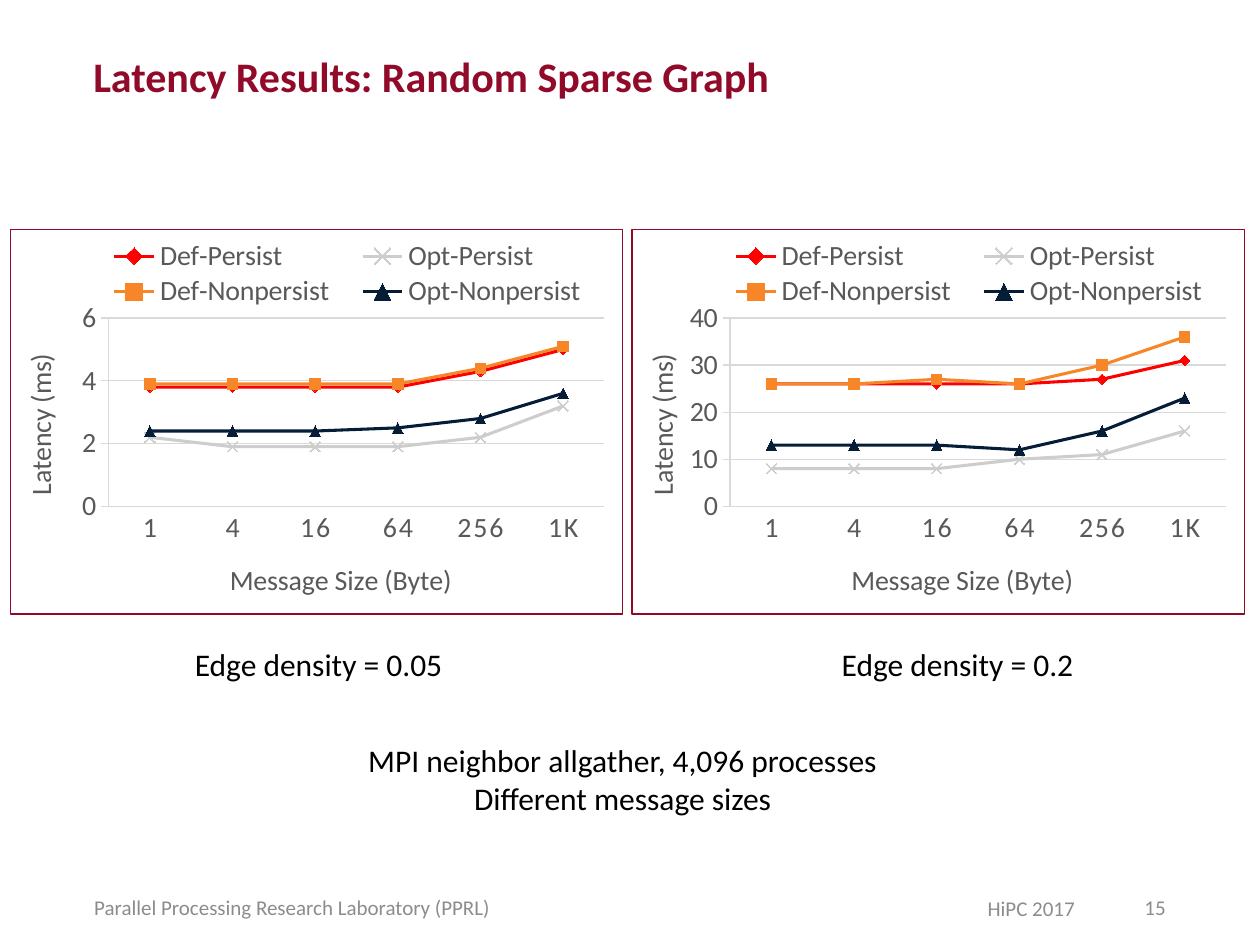
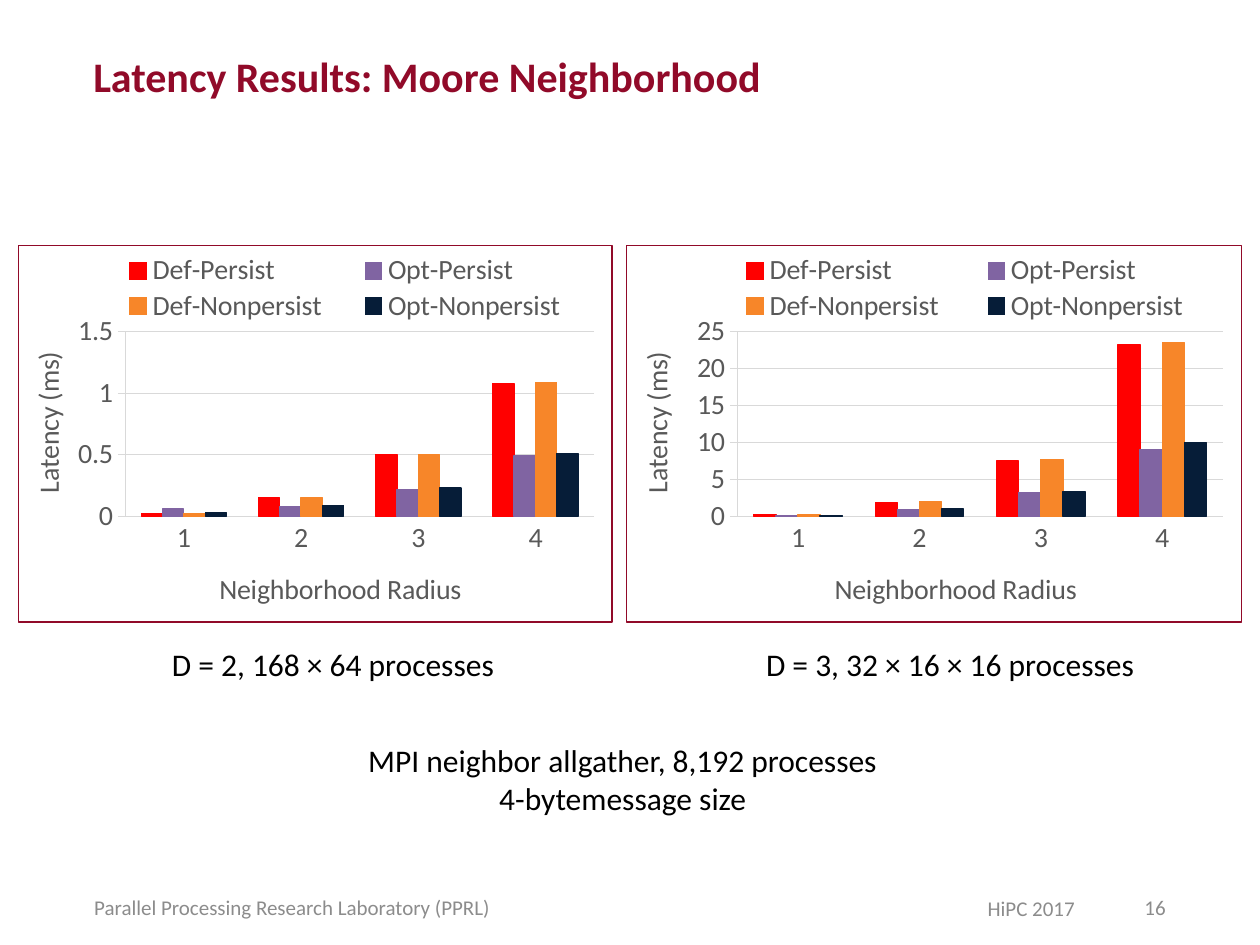
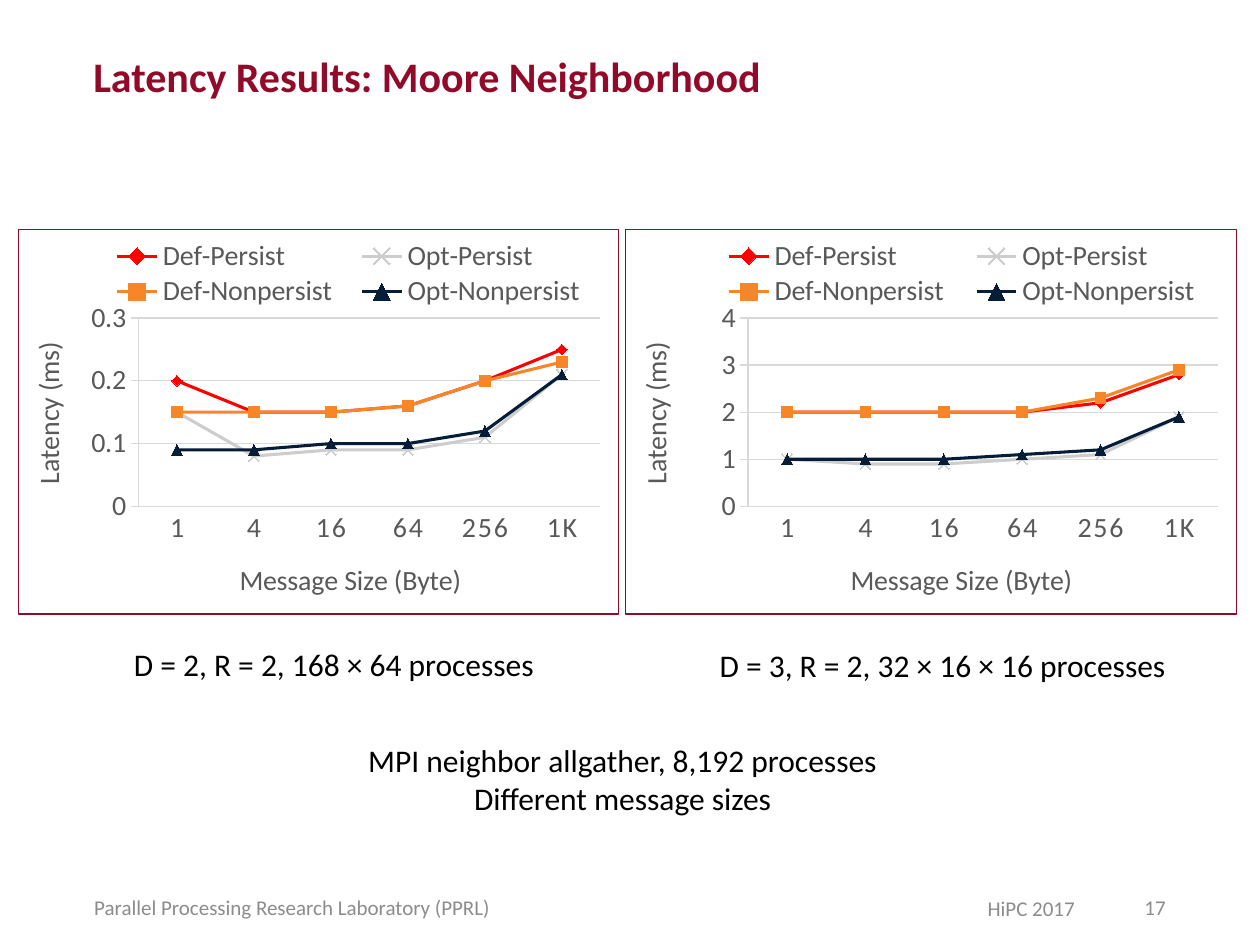
from lxml.etree import SubElement
from pptx import Presentation
from pptx.chart.data import CategoryChartData
from pptx.dml.color import RGBColor
from pptx.enum.chart import XL_CHART_TYPE, XL_LEGEND_POSITION, XL_MARKER_STYLE, XL_TICK_MARK
from pptx.enum.text import MSO_ANCHOR, PP_ALIGN
from pptx.oxml import parse_xml
from pptx.oxml.ns import nsdecls, qn
from pptx.util import Cm, Pt

# Shared look
FONT = "Calibri"
MAROON, FOOTER_GRAY, BLACK = "910A29", "8C8C8C", "000000"
CHART_TEXT, GRID = "595959", "D9D9D9"
rgb = RGBColor.from_string

SERIES = ["Def-Persist", "Opt-Persist", "Def-Nonpersist", "Opt-Nonpersist"]
LINE_COLORS = ["FF0000", "CDCDCD", "F78629", "061D38"]
BAR_COLORS = ["FF0000", "8064A2", "F78629", "061D38"]
MARKERS = [XL_MARKER_STYLE.DIAMOND, XL_MARKER_STYLE.X,
           XL_MARKER_STYLE.SQUARE, XL_MARKER_STYLE.TRIANGLE]
BYTES = ["1", "4", "16", "64", "256", "1K"]
RADII = ["1", "2", "3", "4"]
LEGEND_BOX = (0.13, 0.02, 0.84, 0.19)


def add_text(slide, text, box, size, color, align=PP_ALIGN.LEFT, inset=True):
    frame = slide.shapes.add_textbox(*[Cm(length) for length in box]).text_frame
    frame.word_wrap = True
    if not inset:
        frame.margin_left = frame.margin_top = frame.margin_right = frame.margin_bottom = 0
    frame.text = text
    for paragraph in frame.paragraphs:
        paragraph.alignment = align
        paragraph.font.name = FONT
        paragraph.font.size = Pt(size)
        paragraph.font.color.rgb = rgb(color)


def set_layout(part, x, y, w=None, h=None, inner=False):
    """Place a chart part by fractions of the chart area."""
    for old in part.findall(qn("c:layout")):
        part.remove(old)
    layout = parse_xml(f"<c:layout {nsdecls('c')}/>")
    manual = SubElement(layout, qn("c:manualLayout"))
    settings = [("layoutTarget", "inner" if inner else None), ("xMode", "edge"),
                ("yMode", "edge"), ("x", x), ("y", y), ("w", w), ("h", h)]
    for tag, value in settings:
        if value is not None:
            SubElement(manual, qn(f"c:{tag}")).set("val", str(value))
    overlay = part.find(qn("c:overlay"))
    if overlay is None:
        part.insert(0, layout)
    else:
        overlay.addprevious(layout)


# Content: each panel has a box, axis maximum and step, values, caption and caption box
SLIDES = [
    {"title": "Latency Results: Random Sparse Graph", "kind": "line", "plot": (0.16, 0.81),
     "axis_titles": ((0.35, 0.85), (0.01, 0.31)),
     "note": "MPI neighbor allgather, 4,096 processes\nDifferent message sizes",
     "panels": [
         ((0.2, 4.62, 12.37, 7.77), 6, 2,
          [(3.8, 3.8, 3.8, 3.8, 4.3, 5), (2.2, 1.9, 1.9, 1.9, 2.2, 3.2),
           (3.9, 3.9, 3.9, 3.9, 4.4, 5.1), (2.4, 2.4, 2.4, 2.5, 2.8, 3.6)],
          "Edge density = 0.05", (3.07, 12.88, 6.71, 1.02)),
         ((12.73, 4.62, 12.37, 7.77), 40, 10,
          [(26, 26, 26, 26, 27, 31), (8, 8, 8, 10, 11, 16),
           (26, 26, 27, 26, 30, 36), (13, 13, 13, 12, 16, 23)],
          "Edge density = 0.2", (15.95, 12.88, 6.71, 1.02))]},
    {"title": "Latency Results: Moore Neighborhood", "kind": "bar", "plot": (0.18, 0.79),
     "axis_titles": ((0.33, 0.85), (0.01, 0.27)),
     "note": "MPI neighbor allgather, 8,192 processes\n4-bytemessage size",
     "panels": [
         ((0.36, 4.93, 11.99, 7.62), 1.5, 0.5,
          [(0.02, 0.15, 0.5, 1.08), (0.06, 0.08, 0.22, 0.49),
           (0.02, 0.15, 0.5, 1.09), (0.03, 0.09, 0.23, 0.51)],
          "D = 2, 168 × 64 processes", (3.07, 12.88, 7.29, 1.02)),
         ((12.62, 4.93, 12.42, 7.62), 25, 5,
          [(0.2, 1.9, 7.5, 23.3), (0.1, 0.9, 3.2, 9),
           (0.2, 2, 7.7, 23.5), (0.1, 1, 3.4, 10)],
          "D = 3, 32 × 16 × 16 processes", (15.14, 12.88, 8.03, 1.02))]},
    {"title": "Latency Results: Moore Neighborhood", "kind": "line", "plot": (0.2, 0.77),
     "axis_titles": ((0.36, 0.85), (0.01, 0.28)),
     "note": "MPI neighbor allgather, 8,192 processes\nDifferent message sizes",
     "panels": [
         ((0.36, 4.62, 12.12, 7.77), 0.3, 0.1,
          [(0.2, 0.15, 0.15, 0.16, 0.2, 0.25), (0.15, 0.08, 0.09, 0.09, 0.11, 0.21),
           (0.15, 0.15, 0.15, 0.16, 0.2, 0.23), (0.09, 0.09, 0.1, 0.1, 0.12, 0.21)],
          "D = 2, R = 2, 168 × 64 processes", (2.29, 12.88, 8.89, 1.02)),
         ((12.6, 4.62, 12.34, 7.77), 4, 1,
          [(2, 2, 2, 2, 2.2, 2.8), (1, 0.9, 0.9, 1, 1.1, 1.9),
           (2, 2, 2, 2, 2.3, 2.9), (1, 1, 1, 1.1, 1.2, 1.9)],
          "D = 3, R = 2, 32 × 16 × 16 processes", (14, 12.9, 10.01, 1.02))]},
]

prs = Presentation()
prs.slide_width, prs.slide_height = Cm(25.4), Cm(19.05)

for number, content in enumerate(SLIDES, start=15):
    slide = prs.slides.add_slide(prs.slide_layouts[5])
    is_line = content["kind"] == "line"

    # Title
    title = slide.shapes.title
    title.left, title.top, title.width, title.height = Cm(1.88), Cm(0.84), Cm(17.02), Cm(1.42)
    heading = title.text_frame
    heading.text = content["title"]
    heading.vertical_anchor = MSO_ANCHOR.MIDDLE
    heading.margin_left = heading.margin_bottom = 0
    heading.margin_top, heading.margin_right = Cm(0.13), Cm(0.25)
    heading.paragraphs[0].alignment = PP_ALIGN.LEFT
    heading.paragraphs[0].line_spacing = Pt(24)
    title_font = heading.paragraphs[0].runs[0].font
    title_font.name, title_font.size, title_font.bold = FONT, Pt(24), True
    title_font.color.rgb = rgb(MAROON)

    # Footer
    add_text(slide, "HiPC 2017", (19.66, 17.93, 4.04, 0.76), 12, FOOTER_GRAY)
    add_text(slide, "Parallel Processing Research Laboratory (PPRL)",
             (1.9, 18.03, 8.81, 1.02), 12, FOOTER_GRAY, inset=False)
    add_text(slide, str(number), (21.82, 18.03, 1.68, 1.02), 12, FOOTER_GRAY,
             PP_ALIGN.RIGHT, inset=False)

    # Experiment setup
    add_text(slide, content["note"], (4.01, 14.81, 17.09, 2.57), 18, BLACK, PP_ALIGN.CENTER)

    for box, maximum, step, values, caption, caption_box in content["panels"]:
        add_text(slide, caption, caption_box, 18, BLACK, PP_ALIGN.CENTER)

        # Latency chart
        latencies = CategoryChartData()
        latencies.categories = BYTES if is_line else RADII
        for name, series_values in zip(SERIES, values):
            latencies.add_series(name, series_values)
        chart_type = XL_CHART_TYPE.LINE_MARKERS if is_line else XL_CHART_TYPE.COLUMN_CLUSTERED
        chart = slide.shapes.add_chart(
            chart_type, *[Cm(length) for length in box], latencies).chart
        chart.has_title = False
        chart.font.name, chart.font.size = FONT, Pt(16)
        chart.font.color.rgb = rgb(CHART_TEXT)
        plot = chart.plots[0]
        plot.vary_by_categories = False

        # Frame and plot area
        chart_part = chart._chartSpace.find(qn("c:chart"))
        chart_part.addnext(parse_xml(
            f'<c:spPr {nsdecls("c", "a")}><a:noFill/><a:ln w="9525"><a:solidFill>'
            f'<a:srgbClr val="{MAROON}"/></a:solidFill></a:ln></c:spPr>'))
        plot_x, plot_width = content["plot"]
        set_layout(chart_part.find(qn("c:plotArea")), plot_x, 0.23, plot_width, 0.49, inner=True)

        # Legend
        chart.has_legend = True
        chart.legend.position = XL_LEGEND_POSITION.TOP
        chart.legend.include_in_layout = False
        chart.legend.font.name, chart.legend.font.size = FONT, Pt(16)
        chart.legend.font.color.rgb = rgb(CHART_TEXT)
        set_layout(chart.legend._element, *LEGEND_BOX)

        # Axes
        size_or_radius, latency = chart.category_axis, chart.value_axis
        latency.minimum_scale, latency.maximum_scale, latency.major_unit = 0, maximum, step
        latency.major_gridlines.format.line.color.rgb = rgb(GRID)
        latency.major_gridlines.format.line.width = Pt(0.75)
        category_title = "Message Size (Byte)" if is_line else "Neighborhood Radius"
        axes = zip((size_or_radius, latency), (category_title, "Latency (ms)"),
                   (XL_TICK_MARK.NONE, XL_TICK_MARK.OUTSIDE), content["axis_titles"])
        for axis, axis_title, tick, place in axes:
            axis.major_tick_mark, axis.minor_tick_mark = tick, XL_TICK_MARK.NONE
            axis.format.line.color.rgb = rgb(GRID)
            axis.format.line.width = Pt(0.75)
            axis.tick_labels.font.name, axis.tick_labels.font.size = FONT, Pt(16)
            axis.tick_labels.font.color.rgb = rgb(CHART_TEXT)
            axis.axis_title.text_frame.text = axis_title
            label_font = axis.axis_title.text_frame.paragraphs[0].runs[0].font
            label_font.name, label_font.size, label_font.bold = FONT, Pt(16), False
            label_font.color.rgb = rgb(CHART_TEXT)
            set_layout(axis.axis_title._element, *place)
        if is_line:
            size_or_radius._element.find(f".//{qn('a:defRPr')}").set("spc", "120")
        else:
            plot.gap_width, plot.overlap = 150, 0

        # Series
        colors = LINE_COLORS if is_line else BAR_COLORS
        for series, color, marker in zip(plot.series, colors, MARKERS):
            series.format.line.color.rgb = rgb(color)
            series.format.line.width = Pt(1.75 if is_line else 0.75)
            if not is_line:
                series.format.fill.solid()
                series.format.fill.fore_color.rgb = rgb(color)
                continue
            series.smooth = False
            series.marker.style, series.marker.size = marker, 6
            series.marker.format.line.color.rgb = rgb(color)
            if marker == XL_MARKER_STYLE.X:
                series.marker.format.fill.background()
            else:
                series.marker.format.fill.solid()
                series.marker.format.fill.fore_color.rgb = rgb(color)

prs.save("out.pptx")
